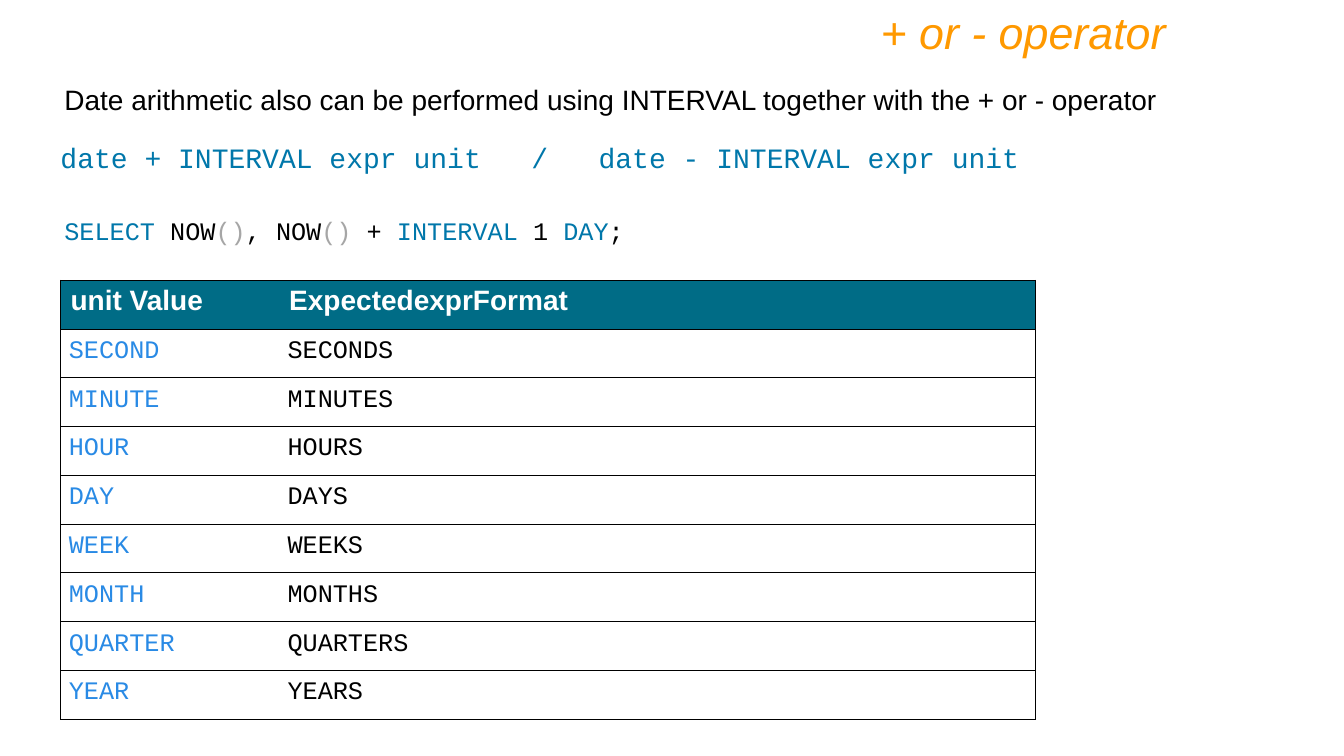
from lxml import etree
from pptx import Presentation
from pptx import util as u
from pptx.dml.color import RGBColor
from pptx.enum import shapes, text
from pptx.oxml import ns

Pt = u.Pt
SANS, MONO = "Arial", "Courier New"
BLACK, WHITE, KEYWORD, BRACKET = "000000", "FFFFFF", "0077AA", "A6A6A6"
HEADER, UNIT, ORANGE = "006C86", "298AE5", "FF9900"
UNITS = ["SECOND", "MINUTE", "HOUR", "DAY", "WEEK", "MONTH", "QUARTER", "YEAR"]


def color(hex_code):
    return RGBColor.from_string(hex_code)


def write(frame, runs, size=20, font=SANS, bold=False, italic=False,
          align=text.PP_ALIGN.LEFT):
    """Fill the first paragraph with (words, colour) pairs."""
    paragraph = frame.paragraphs[0]
    paragraph.alignment = align
    for words, hex_code in runs:
        run = paragraph.add_run()
        run.text = words
        run.font.size, run.font.name = Pt(size), font
        run.font.bold, run.font.italic = bold, italic
        run.font.color.rgb = color(hex_code)


def add_line(slide, box, runs, **style):
    frame = slide.shapes.add_textbox(*map(Pt, box)).text_frame
    frame.word_wrap = True
    write(frame, runs, **style)


def add_syntax(slide, box):
    syntax = slide.shapes.add_shape(shapes.MSO_SHAPE.RECTANGLE, *map(Pt, box))
    syntax.shadow.inherit = False
    syntax.fill.solid()
    syntax.fill.fore_color.rgb = color(WHITE)
    syntax.line.fill.background()
    frame = syntax.text_frame
    frame.word_wrap = True
    frame.vertical_anchor = text.MSO_ANCHOR.MIDDLE
    frame.margin_left = frame.margin_top = frame.margin_right = 0
    frame.margin_bottom = Pt(12.24)
    write(frame, [("date + INTERVAL expr unit   /   date - INTERVAL expr unit", KEYWORD)],
          font=MONO)


def set_borders(cell, visible):
    """Rule the sides named in visible and clear the others."""
    properties = cell._tc.get_or_add_tcPr()
    for index, side in enumerate("LRTB"):
        line = etree.Element(ns.qn(f"a:ln{side}"), w=str(Pt(0.75)))
        if side in visible:
            fill = etree.SubElement(line, ns.qn("a:solidFill"))
            etree.SubElement(fill, ns.qn("a:srgbClr"), val=BLACK)
        else:
            etree.SubElement(line, ns.qn("a:noFill"))
        properties.insert(index, line)


def add_units_table(slide, box, unit_width):
    rows = [("unit Value", "ExpectedexprFormat")]
    rows += [(unit, unit + "S") for unit in UNITS]
    table = slide.shapes.add_table(len(rows), 2, *map(Pt, box)).table
    table.columns[0].width = Pt(unit_width)
    table.columns[1].width = Pt(box[2] - unit_width)
    for r, words in enumerate(rows):
        table.rows[r].height = Pt(box[3] / len(rows))
        for c, word in enumerate(words):
            cell = table.cell(r, c)
            cell.fill.solid()
            cell.fill.fore_color.rgb = color(WHITE if r else HEADER)
            set_borders(cell, ("LTB", "RTB")[c])
            if r == 0:
                write(cell.text_frame, [(word, WHITE)], bold=True)
                continue
            cell.margin_left = cell.margin_right = Pt(6)
            cell.margin_top = cell.margin_bottom = Pt(6)
            write(cell.text_frame, [(word, (UNIT, BLACK)[c])], size=18, font=MONO)


def build_operator_slide(slide):
    # Title and introduction
    add_line(slide, (120, 0, 720, 46), [("+ or - operator", ORANGE)],
             size=32, italic=True, align=text.PP_ALIGN.RIGHT)
    add_line(slide, (38.9, 55.4, 882.7, 31.7),
             [("Date arithmetic also can be performed using INTERVAL "
               "together with the + or - operator", BLACK)])
    # Syntax and its example
    add_syntax(slide, (43.2, 100.8, 686.9, 36))
    add_line(slide, (38.9, 150.5, 686.9, 28.8),
             [("SELECT ", KEYWORD), ("NOW", BLACK), ("()", BRACKET),
              (", NOW", BLACK), ("() ", BRACKET), ("+ ", BLACK),
              ("INTERVAL ", KEYWORD), ("1 ", BLACK), ("DAY", KEYWORD), (";", BLACK)],
             size=18, font=MONO)
    # Units and their formats
    add_units_table(slide, (43.2, 200.2, 696.2, 313.6), unit_width=156.2)


def main():
    deck = Presentation()
    deck.slide_width, deck.slide_height = Pt(960), Pt(540)
    build_operator_slide(deck.slides.add_slide(deck.slide_layouts[6]))
    deck.save("out.pptx")


if __name__ == "__main__":
    main()
